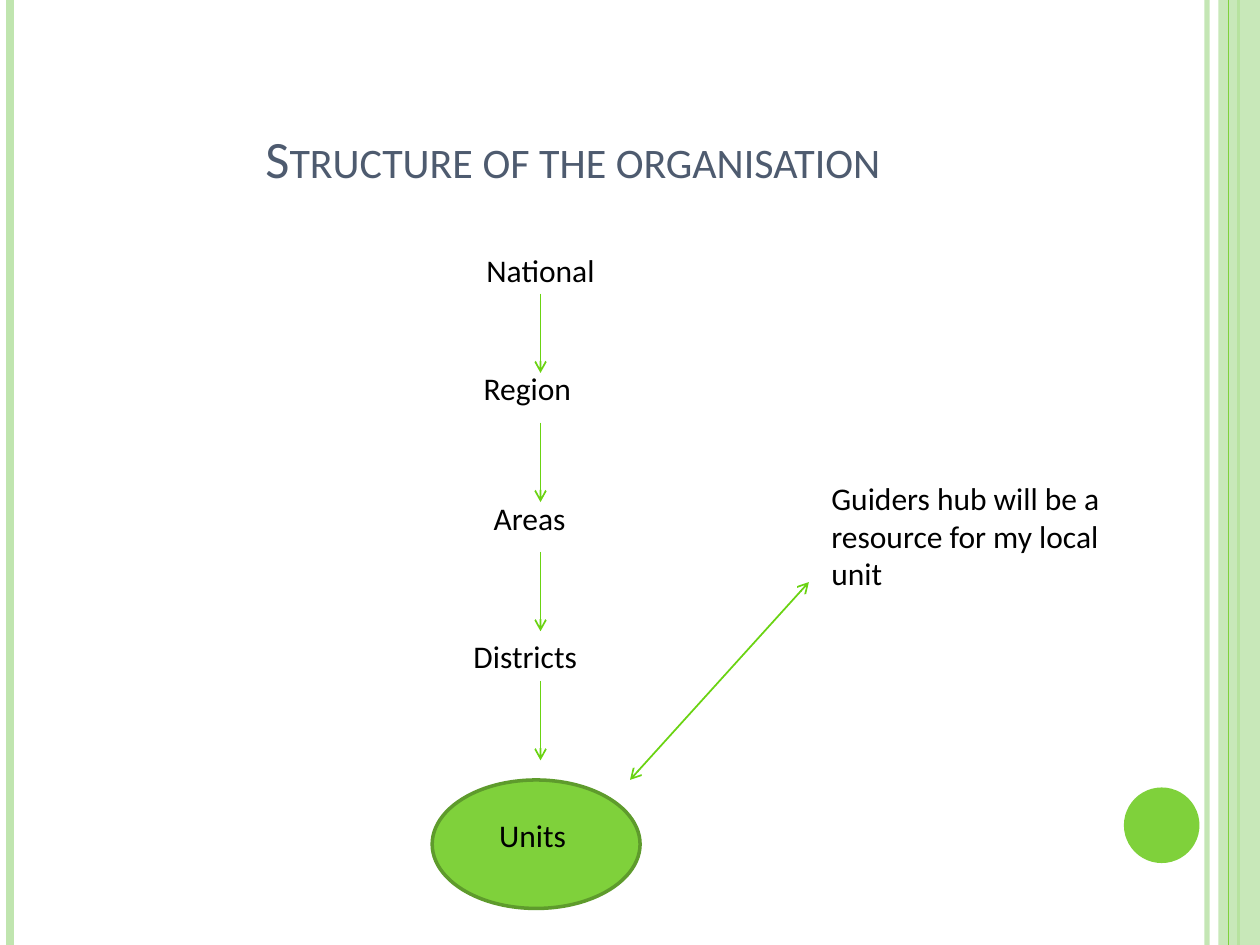
from lxml import etree
from pptx import Presentation
from pptx.dml.color import RGBColor
from pptx.enum.shapes import MSO_CONNECTOR, MSO_SHAPE
from pptx.enum.text import MSO_ANCHOR, PP_ALIGN
from pptx.oxml.ns import qn
from pptx.util import Inches, Pt

LINE = MSO_CONNECTOR.STRAIGHT
RECT, OVAL = MSO_SHAPE.RECTANGLE, MSO_SHAPE.OVAL
LEFT, MID = PP_ALIGN.LEFT, PP_ALIGN.CENTER
TOP, BASE = MSO_ANCHOR.TOP, MSO_ANCHOR.BOTTOM
GREEN, PALE, ARROW = "7FD13B", "C0E5AF", "6AD312"


def color(code):
    return RGBColor.from_string(code)


def add_line(start, end, code, width, ends=()):
    """Draw a line; ends names the a: elements that get an open arrowhead."""
    line = slide.shapes.add_connector(LINE, *map(Inches, start + end))
    line.line.color.rgb = color(code)
    line.line.width = Pt(width)
    for name in ends:
        etree.SubElement(line.line._get_or_add_ln(), qn(name), type="arrow")
    etree.SubElement(line._element.spPr, qn("a:effectLst"))
    return line


def set_alpha(fill, percent):
    tint = fill._xPr.find(qn("a:solidFill"))[0]
    etree.SubElement(tint, qn("a:alpha"), val=str(percent * 1000))


prs = Presentation()
prs.slide_width, prs.slide_height = Inches(10), Inches(7.5)
slide = prs.slides.add_slide(prs.slide_layouts[6])

# Side stripes; the band lies over the first three
stripes = [(9.58, PALE, 3), (0.08, PALE, 4.5), (9.83, GREEN, 1.5)]
for x, code, width in stripes:
    stripe = add_line((x, 0), (x, 7.5), code, width)
    if width == 3:
        set_alpha(stripe.line.fill, 93)

shapes = [
    (RECT, (9.67, 0, 0.33, 7.5), PALE, None),
    (OVAL, (8.92, 6.25, 0.6, 0.6), GREEN, None),
    (OVAL, (3.43, 6.19, 1.65, 1.02), GREEN, "5E9B2C"),
]
for kind, box, code, edge in shapes:
    shape = slide.shapes.add_shape(kind, *map(Inches, box))
    shape.shadow.inherit = False
    shape.fill.solid()
    shape.fill.fore_color.rgb = color(code)
    if edge:
        shape.line.color.rgb = color(edge)
        shape.line.width = Pt(2)
    else:
        shape.line.fill.background()
    if kind == RECT:
        set_alpha(shape.fill, 87)
        add_line((9.75, 0), (9.75, 7.5), GREEN, 0.75)

# Title, levels and note
body = {"name": "Calibri", "size": Pt(18)}
head = {"name": "Calibri", "size": Pt(30)}
texts = [
    ("Structure of the organisation ", (0.5, 0.3, 8.17, 1.25), MID, head),
    ("National", (3.19, 1.94, 2.2, 0.4), MID, body),
    ("Region", (3.74, 2.88, 1.73, 0.4), LEFT, body),
    ("Areas", (3.82, 3.91, 0.94, 0.4), LEFT, body),
    ("Districts", (3.66, 5.01, 1.34, 0.4), LEFT, body),
    ("Units ", (3.43, 6.43, 1.65, 0.4), MID, body),
    ("Guiders hub will be a resource for my local unit",
     (6.5, 3.75, 2.52, 1.01), LEFT, body),
]
for words, box, align, style in texts:
    frame = slide.shapes.add_textbox(*map(Inches, box)).text_frame
    frame.word_wrap = True
    frame.vertical_anchor = BASE if style is head else TOP
    para = frame.paragraphs[0]
    para.alignment = align
    run = para.add_run()
    run.text = words
    for key, value in style.items():
        setattr(run.font, key, value)
    run.font.color.rgb = color("4E5B6F" if style is head else "000000")
    if style is head:
        run._r.get_or_add_rPr().set("cap", "small")

# Arrows down the chain, then the link to the note
for i in range(4):
    y = 2.33 + i * 1.025
    add_line((4.29, y), (4.29, y + 0.63), ARROW, 1, ["a:tailEnd"])
add_line((5, 6.19), (6.42, 4.62), ARROW, 1, ["a:headEnd", "a:tailEnd"])

prs.save("out.pptx")
